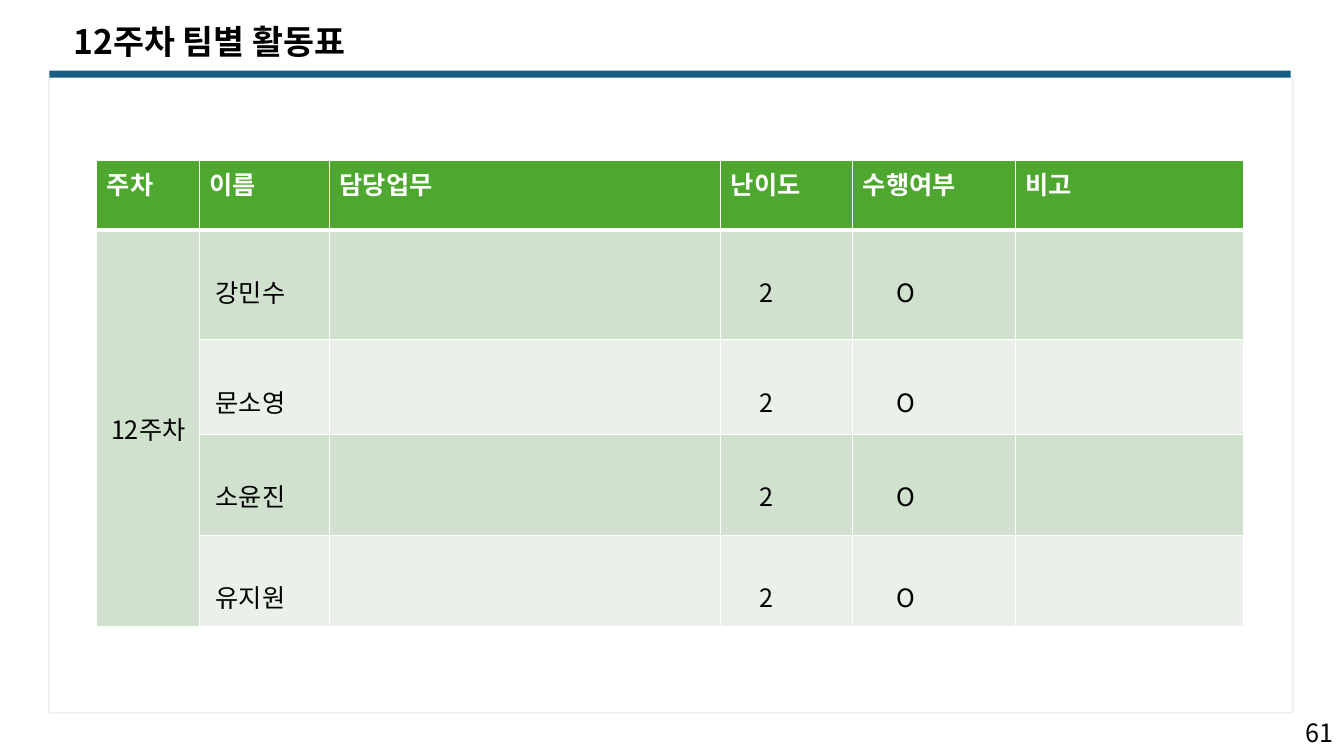
import pptx
import pptx.util
import pptx.dml.color
import pptx.enum.shapes
import pptx.enum.text
import pptx.oxml
import pptx.oxml.ns

Inches = pptx.util.Inches
Align = pptx.enum.text.PP_ALIGN
Anchor = pptx.enum.text.MSO_ANCHOR


def color(code):
    return pptx.dml.color.RGBColor.from_string(code)


class Page:
    font = "Noto Sans CJK KR"
    black, white, blue, frame = "000000", "FFFFFF", "156082", "F2F2F2"
    green, bands = "4EA72E", ("D0E1CD", "E9F1E8")

    def __init__(self, deck):
        self.slide = deck.slides.add_slide(deck.slide_layouts[5])

    def put_text(self, frame, text, size=18, ink=black, bold=False, align=Align.LEFT):
        frame.text = text
        para = frame.paragraphs[0]
        para.alignment = align
        for run in para.runs:
            run.font.size = pptx.util.Pt(size)
            run.font.bold = bold
            run.font.color.rgb = color(ink)
            run.font.name = self.font
            east = pptx.oxml.parse_xml(
                f'<a:ea {pptx.oxml.ns.nsdecls("a")} typeface="{self.font}"/>')
            run.font._element.append(east)

    def title(self, text, left, top, width, height):
        shape = self.slide.shapes.title
        shape.left, shape.top = Inches(left), Inches(top)
        shape.width, shape.height = Inches(width), Inches(height)
        frame = shape.text_frame
        frame.auto_size = pptx.enum.text.MSO_AUTO_SIZE.NONE
        frame.vertical_anchor = Anchor.MIDDLE
        self.put_text(frame, text, size=24, bold=True)

    def label(self, text, *box):
        frame = self.slide.shapes.add_textbox(*map(Inches, box)).text_frame
        frame.word_wrap = True
        frame.margin_right = 0
        frame.vertical_anchor = Anchor.MIDDLE
        self.put_text(frame, text)

    def rect(self, *box, fill=None, line=None):
        kind = pptx.enum.shapes.MSO_SHAPE.RECTANGLE
        shape = self.slide.shapes.add_shape(kind, *map(Inches, box))
        shape.shadow.inherit = False
        if fill:
            shape.fill.solid()
            shape.fill.fore_color.rgb = color(fill)
        else:
            shape.fill.background()
        if line:
            shape.line.color.rgb = color(line)
            shape.line.width = pptx.util.Pt(1.5)
        else:
            shape.line.fill.background()

    def paint(self, cell, fill, base=1):
        """Fill a cell and give it white borders, the bottom one base points wide."""
        props = cell._tc.get_or_add_tcPr()
        for side, width in zip("LRTB", (1, 1, 1, base)):
            props.append(pptx.oxml.parse_xml(
                f'<a:ln{side} {pptx.oxml.ns.nsdecls("a")} w="{pptx.util.Pt(width)}">'
                f'<a:solidFill><a:srgbClr val="{self.white}"/></a:solidFill>'
                f'</a:ln{side}>'))
        cell.fill.solid()
        cell.fill.fore_color.rgb = color(fill)

    def table(self, left, top, cols, rows, heads, week, names):
        grid = self.slide.shapes.add_table(
            len(rows), len(cols), Inches(left), Inches(top),
            Inches(sum(cols)), Inches(sum(rows))).table
        for col, width in zip(grid.columns, cols):
            col.width = Inches(width)
        for row, height in zip(grid.rows, rows):
            row.height = Inches(height)

        for c, head in enumerate(heads):
            cell = grid.cell(0, c)
            self.paint(cell, self.green, base=3)
            self.put_text(cell.text_frame, head, ink=self.white, bold=True)

        for r, name in enumerate(names, 1):
            for c in range(len(cols)):
                band = self.bands[(r - 1) % 2] if c else self.bands[0]
                self.paint(grid.cell(r, c), band)
            for c, text, indent in ((1, name, 0.16), (3, "2", 0.38), (4, "O", 0.43)):
                cell = grid.cell(r, c)
                cell.margin_left = Inches(indent)
                cell.margin_top = Inches(0.43)
                self.put_text(cell.text_frame, text)

        first = grid.cell(1, 0)
        first.merge(grid.cell(len(names), 0))
        first.vertical_anchor = Anchor.MIDDLE
        self.put_text(first.text_frame, week, align=Align.CENTER)


def main():
    deck = pptx.Presentation()
    deck.slide_width, deck.slide_height = Inches(13.33), Inches(7.5)
    page = Page(deck)
    page.rect(0.49, 0.76, 12.33, 6.31, line=page.frame)
    page.title("12주차 팀별 활동표", 0.63, 0.16, 4.45, 0.5)
    page.rect(0.49, 0.7, 12.31, 0.07, fill=page.blue)
    page.label("61", 12.85, 7.07, 0.48, 0.4)
    page.table(
        0.96, 1.59,
        cols=(1.02, 1.29, 3.88, 1.31, 1.61, 2.27),
        rows=(0.69, 1.09, 0.94, 1, 0.91),
        heads=("주차", "이름", "담당업무", "난이도", "수행여부", "비고"),
        week="12주차",
        names=("강민수", "문소영", "소윤진", "유지원"))
    deck.save("out.pptx")


if __name__ == "__main__":
    main()
